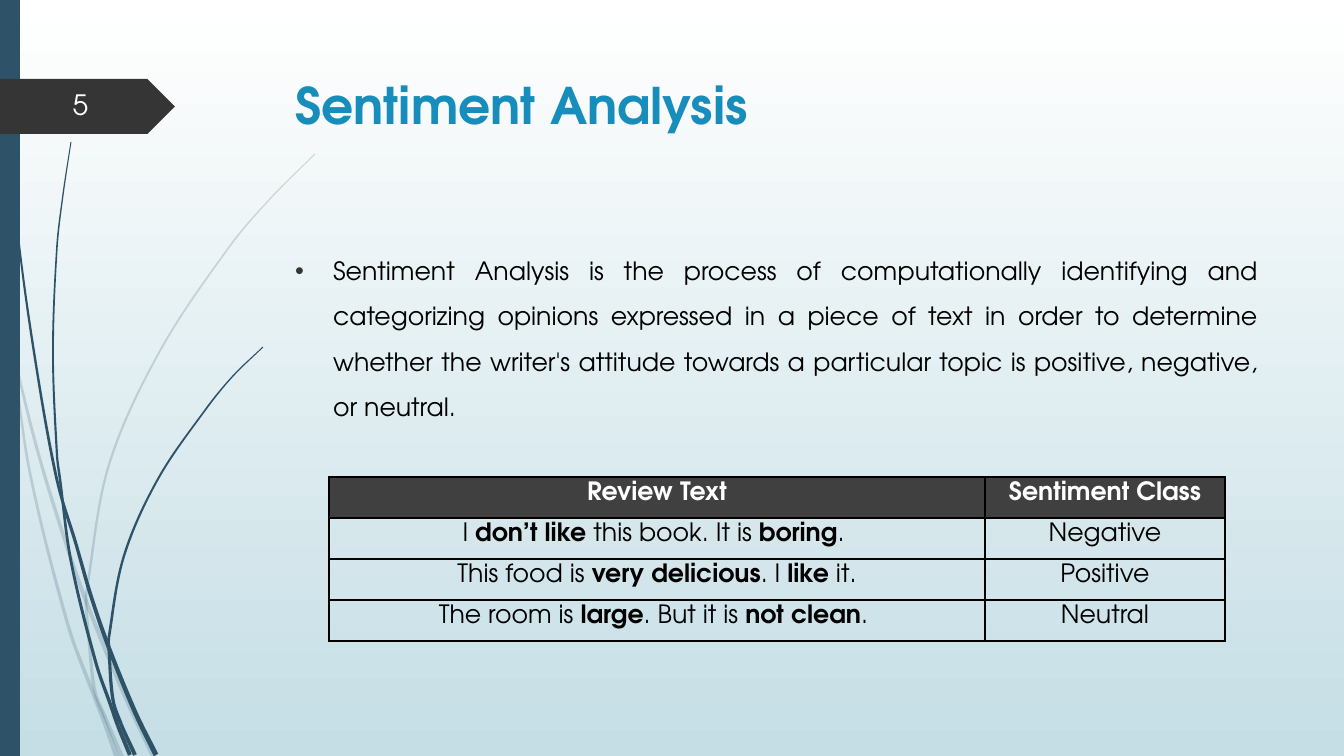
import math
from dataclasses import dataclass

import pptx
import pptx.dml.color
import pptx.enum.shapes
import pptx.enum.text
import pptx.oxml.ns
import pptx.util
from lxml import etree

PX = 914400 / 100.8
FONT = "TeX Gyre Adventor"
COLORS = {"navy": "2E5369", "tag": "353535", "header": "404040", "title": "178DBB",
          "black": "000000", "white": "FFFFFF", "sky": "C5DEE5"}
ALIGN = pptx.enum.text.PP_ALIGN
SHAPE = pptx.enum.shapes.MSO_SHAPE
qn = pptx.oxml.ns.qn


@dataclass
class Blade:
    """A grass blade: centre points, inner joints, widths at tip and root."""
    points: list[tuple[int, int]]
    joints: list[int]
    tip: int
    root: int
    opacity: int = 100


BLADES = [
    Blade([(0, 293), (13, 351), (36, 445), (60, 525), (86, 601), (126, 698), (154, 757)],
          [1, 4], 2, 5, 20),
    Blade([(14, 360), (30, 473), (68, 625), (93, 693), (103, 718), (117, 757)],
          [4], 2, 5, 20),
    Blade([(315, 154), (270, 199), (230, 246), (160, 351), (109, 465), (87, 589),
           (86, 602), (90, 651), (95, 692), (105, 717), (122, 757)], [6, 9], 1, 4, 20),
    Blade([(4, 0), (8, 111), (18, 234), (35, 358), (57, 480), (76, 544), (91, 596),
           (109, 648), (135, 712), (156, 755)], [4, 7], 1, 5),
    Blade([(71, 142), (63, 195), (57, 247), (53, 352), (57, 455), (60, 479), (71, 561),
           (96, 663), (111, 706), (118, 726), (130, 755)], [5, 9], 1, 4),
    Blade([(263, 347), (233, 376), (206, 409), (158, 479), (124, 556), (109, 637),
           (109, 650), (113, 700), (121, 724), (135, 755)], [6, 8], 1, 4),
]

# Pieces between bars alternate between regular and bold
REVIEWS = [
    ("|Review Text", "|Sentiment Class"),
    ("I |don’t like |this book. It is |boring|. ", "Negative"),
    ("This food is |very delicious|. I |like| it.", "Positive"),
    ("The room is |large|. But it is |not clean|. ", "Neutral"),
]


def emu(pixels: float) -> pptx.util.Emu:
    return pptx.util.Emu(round(pixels * PX))


def rgb(name: str) -> pptx.dml.color.RGBColor:
    return pptx.dml.color.RGBColor.from_string(COLORS[name])


def write(frame, text: str, *, size: int, color: str = "black", bold: bool = False,
          align=ALIGN.LEFT):
    """Fill the first paragraph; bars in the text switch bold on and off."""
    frame.word_wrap = True
    frame.auto_size = pptx.enum.text.MSO_AUTO_SIZE.NONE
    frame.vertical_anchor = pptx.enum.text.MSO_ANCHOR.TOP
    paragraph = frame.paragraphs[0]
    paragraph.alignment = align
    for index, piece in enumerate(text.split("|")):
        if piece:
            run = paragraph.add_run()
            run.text = piece
            run.font.name = FONT
            run.font.size = pptx.util.Pt(size)
            run.font.bold = bold or index % 2 == 1
            run.font.color.rgb = rgb(color)
    return paragraph


def place(box, left: int, top: int, width: int, height: int) -> None:
    box.left, box.top, box.width, box.height = map(emu, (left, top, width, height))


def paint(shape, color: str, opacity: int = 100) -> None:
    shape.shadow.inherit = False
    shape.fill.solid()
    shape.fill.fore_color.rgb = rgb(color)
    shape.line.fill.background()
    if opacity < 100:
        tint = shape.fill._xPr.find(".//" + qn("a:srgbClr"))
        etree.SubElement(tint, qn("a:alpha"), val=str(opacity * 1000))


def curve(knots: list[tuple]) -> list[tuple[float, float]]:
    """Bezier points through knots of x, y and unit direction, after the first."""
    points = []
    for (x0, y0, u0, v0), (x1, y1, u1, v1) in zip(knots, knots[1:]):
        pull = math.hypot(x1 - x0, y1 - y0) / 3
        points += [(x0 + u0 * pull, y0 + v0 * pull), (x1 - u1 * pull, y1 - v1 * pull),
                   (x1, y1)]
    return points


def draw_blade(shapes, blade: Blade) -> None:
    points, last = blade.points, len(blade.points) - 1
    left, right = [], []
    for i, (x, y) in enumerate(points):
        (x0, y0), (x1, y1) = points[max(i - 1, 0)], points[min(i + 1, last)]
        length = math.hypot(x1 - x0, y1 - y0)
        u, v = (x1 - x0) / length, (y1 - y0) / length
        half = (blade.tip + (blade.root - blade.tip) * i / last) / 2
        left.append((x - v * half, y + u * half, u, v))
        right.append((x + v * half, y - u * half, -u, -v))
    cuts = [0, *blade.joints, last]
    for start, end in zip(cuts, cuts[1:]):
        down, up = left[start:end + 1], right[start:end + 1][::-1]
        across = [down[-1][:2], up[0][:2], up[0][:2]]
        outline = [(emu(x), emu(y)) for x, y in curve(down) + across + curve(up)]
        builder = shapes.build_freeform(*map(emu, down[0][:2]))
        builder.add_line_segments(outline, close=True)
        piece = builder.convert_to_shape()
        # Every three line targets become one Bezier segment
        lines = list(piece._element.iter(qn("a:lnTo")))
        for first, second, third in zip(lines[::3], lines[1::3], lines[2::3]):
            bend = etree.Element(qn("a:cubicBezTo"))
            first.addprevious(bend)
            for line in (first, second, third):
                bend.append(line[0])
                line.getparent().remove(line)
        paint(piece, "navy", blade.opacity)


def border(cell) -> None:
    properties = cell._tc.get_or_add_tcPr()
    for side in ("lnL", "lnR", "lnT", "lnB"):
        line = etree.SubElement(properties, qn("a:" + side), w=str(pptx.util.Pt(1)))
        fill = etree.SubElement(line, qn("a:solidFill"))
        etree.SubElement(fill, qn("a:srgbClr"), val=COLORS["black"])


deck = pptx.Presentation()
deck.slide_width, deck.slide_height = emu(1344), emu(756)
slide = deck.slides.add_slide(deck.slide_layouts[1])
shapes = slide.shapes

# Background
backdrop = slide.background.fill
backdrop.gradient()
backdrop.gradient_angle = 270
for stop, shade in zip(backdrop.gradient_stops, ("white", "sky")):
    stop.color.rgb = rgb(shade)

# Grass, side bar and page tag
for blade in BLADES:
    draw_blade(shapes, blade)
for kind, bounds, shade in ((SHAPE.RECTANGLE, (0, 0, 20, 756), "navy"),
                            (SHAPE.PENTAGON, (0, 79, 175, 55), "tag")):
    paint(shapes.add_shape(kind, *map(emu, bounds)), shade)
page_number = shapes.add_textbox(*map(emu, (46, 83, 69, 47)))
write(page_number.text_frame, "5", size=20, color="white", align=ALIGN.CENTER)

# Title
place(shapes.title, 285, 69, 983, 141)
write(shapes.title.text_frame, "Sentiment Analysis", size=36, color="title", bold=True)

# Definition
definition = slide.placeholders[1]
place(definition, 285, 235, 983, 416)
statement = write(
    definition.text_frame,
    "Sentiment Analysis is the process of computationally identifying and categorizing "
    "opinions expressed in a piece of text in order to determine whether the writer's "
    "attitude towards a particular topic is positive, negative, or neutral.",
    size=18, align=ALIGN.JUSTIFY)
statement.line_spacing = 1.5
statement.space_before = pptx.util.Pt(10)
layout = statement._p.get_or_add_pPr()
layout.set("marL", str(emu(38)))
layout.set("indent", str(emu(-38)))
bullet_color = etree.SubElement(layout, qn("a:buClr"))
etree.SubElement(bullet_color, qn("a:srgbClr"), val=COLORS["tag"])
etree.SubElement(layout, qn("a:buFont"), typeface="Arial")
etree.SubElement(layout, qn("a:buChar"), char="•")

# Review table
reviews = shapes.add_table(len(REVIEWS), 2, *map(emu, (329, 477, 896, 164))).table
reviews.first_row = reviews.horz_banding = False
for column, width in zip(reviews.columns, (656, 240)):
    column.width = emu(width)
for row, texts in enumerate(REVIEWS):
    reviews.rows[row].height = emu(41)
    for column, text in enumerate(texts):
        cell = reviews.cell(row, column)
        cell.margin_bottom = 0
        border(cell)
        cell.fill.background()
        if row == 0:
            cell.fill.solid()
            cell.fill.fore_color.rgb = rgb("header")
        write(cell.text_frame, text, size=18, color="black" if row else "white",
              align=ALIGN.CENTER)

deck.save("out.pptx")
